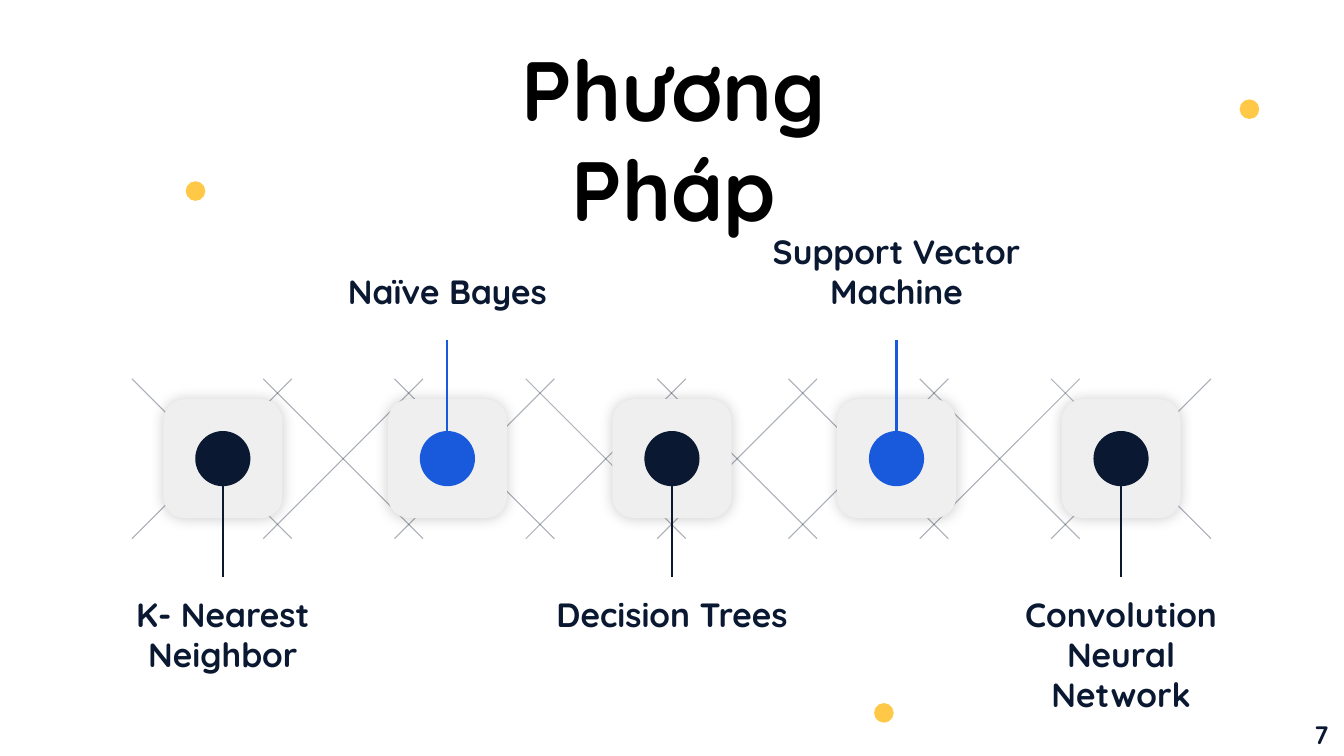
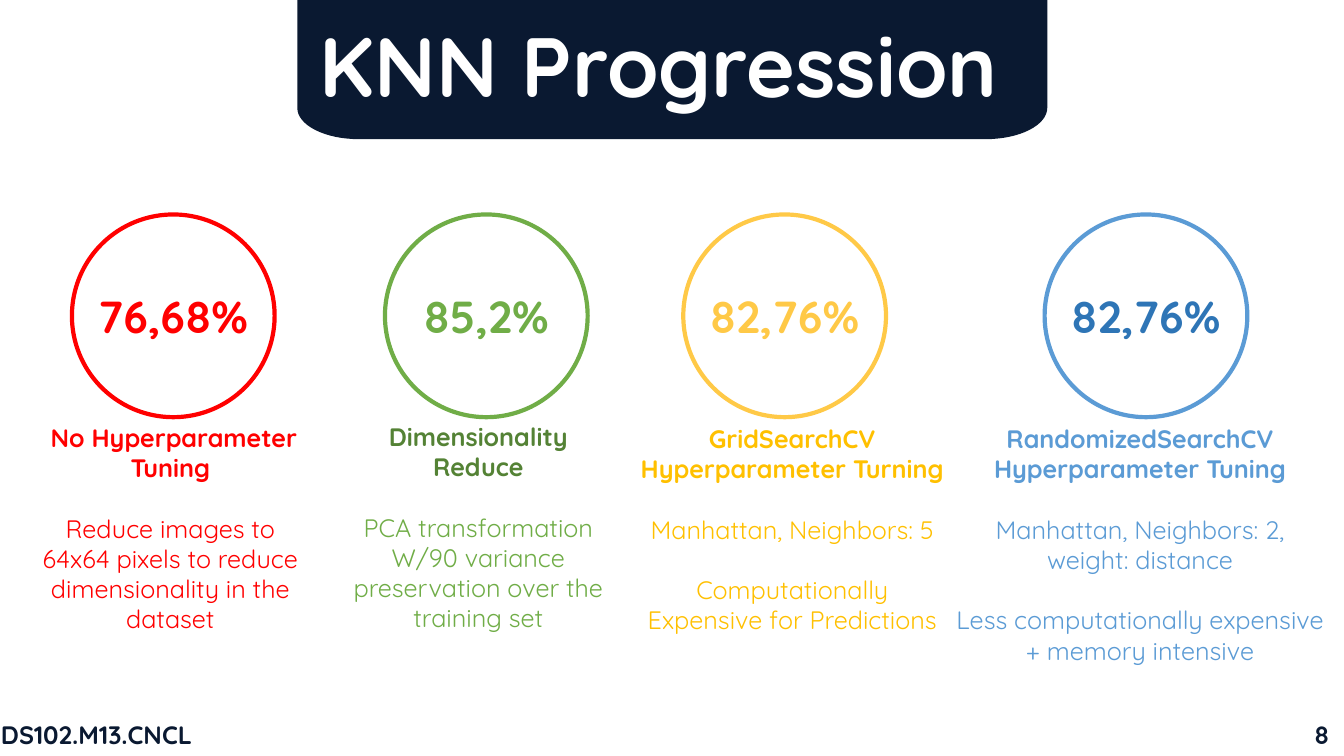
from dataclasses import dataclass
from math import cos, pi, sin

from pptx import Presentation
from pptx.dml.color import RGBColor
from pptx.enum.shapes import MSO_CONNECTOR, MSO_SHAPE
from pptx.enum.text import MSO_ANCHOR, PP_ALIGN
from pptx.oxml.ns import qn
from pptx.util import Pt
from lxml.etree import SubElement


@dataclass(frozen=True)
class Theme:
    font: str = "Quicksand"
    navy: str = "0A1931"
    blue: str = "185ADB"
    amber: str = "FFC947"
    tile: str = "EFEFEF"
    black: str = "000000"
    white: str = "FFFFFF"
    red: str = "FF0000"
    green: str = "70AD47"
    dark_green: str = "548235"
    gold: str = "FFC000"
    sky: str = "5B9BD5"
    dark_sky: str = "2E75B6"
    title: int = 60
    score: int = 32
    label: int = 24
    body: int = 18
    body_line: float = 21.6


@dataclass(frozen=True)
class Stage:
    """One scored step; body holds groups of lines set apart by a gap."""
    score: str
    center: float
    box: tuple
    heading: tuple
    body: tuple
    ring: str
    score_color: str
    heading_color: str
    body_color: str


T = Theme()
WIDTH, HEIGHT = 960, 540

METHODS = ("K- Nearest Neighbor", "Naïve Bayes", "Decision Trees",
           "Support Vector Machine", "Convolution Neural Network")
DOTS = ((139.7, 136.5), (892.5, 78), (631.4, 509.2))

STAGES = (
    Stage("76,68%", 123.8, (17.3, 298, 208.8, 160),
          (" No Hyperparameter Tuning",),
          (("Reduce images to 64x64 pixels to reduce dimensionality in the dataset",),),
          T.red, T.red, T.red, T.red),
    Stage("85,2%", 347.4, (240.5, 297.4, 202.3, 160),
          ("Dimensionality", "Reduce"),
          (("PCA transformation", "W/90 variance preservation over the training set"),),
          T.green, T.green, T.dark_green, T.green),
    Stage("82,76%", 560.5, (447.1, 298.8, 237.6, 160),
          ("GridSearchCV", "Hyperparameter Turning"),
          (("Manhattan, Neighbors: 5",), ("Computationally Expensive for Predictions",)),
          T.amber, T.amber, T.gold, T.gold),
    Stage("82,76%", 818.6, (672.5, 298.8, 283.7, 181),
          ("RandomizedSearchCV", "Hyperparameter Tuning"),
          (("Manhattan, Neighbors: 2,", "weight: distance"),
           ("Less computationally expensive + memory intensive",)),
          T.sky, T.dark_sky, T.sky, T.sky),
)


def rgb(color):
    return RGBColor.from_string(color)


def add_run(p, text, size, color, bold=True):
    r = p.add_run()
    r.text = text
    r.font.name = T.font
    r.font.size = Pt(size)
    r.font.bold = bold
    r.font.color.rgb = rgb(color)


def add_text_frame(slide, box, anchor=MSO_ANCHOR.TOP, inset=7.2):
    tf = slide.shapes.add_textbox(*map(Pt, box)).text_frame
    tf.word_wrap = True
    tf.vertical_anchor = anchor
    tf.margin_left = tf.margin_right = Pt(inset)
    tf.margin_top = tf.margin_bottom = Pt(3.6)
    return tf


def add_text(slide, box, text, size, color, align=PP_ALIGN.CENTER, **frame):
    p = add_text_frame(slide, box, **frame).paragraphs[0]
    p.alignment = align
    add_run(p, text, size, color)


def style_shape(sp, fill, line=None, width=0):
    sp.shadow.inherit = False
    sp.fill.solid()
    sp.fill.fore_color.rgb = rgb(fill)
    if line:
        sp.line.color.rgb = rgb(line)
        sp.line.width = Pt(width)
    else:
        sp.line.fill.background()


def add_centered(slide, kind, cx, cy, size, fill, line=None, width=0):
    sp = slide.shapes.add_shape(kind, Pt(cx - size / 2), Pt(cy - size / 2),
                                Pt(size), Pt(size))
    style_shape(sp, fill, line, width)
    return sp


def add_alpha(parent, percent):
    color = next(parent.iter(qn("a:srgbClr")))
    SubElement(color, qn("a:alpha"), val=str(percent * 1000))


def add_line(slide, start, end, color, width, opacity=100):
    cx = slide.shapes.add_connector(MSO_CONNECTOR.STRAIGHT, *map(Pt, start + end))
    cx.line.color.rgb = rgb(color)
    cx.line.width = Pt(width)
    spPr = cx._element.spPr
    if opacity < 100:
        add_alpha(spPr.find(qn("a:ln")), opacity)
    SubElement(spPr, qn("a:effectLst"))


def add_glow_shadow(sp):
    effects = sp._element.spPr.find(qn("a:effectLst"))
    shadow = SubElement(effects, qn("a:outerShdw"), blurRad=str(Pt(10)),
                        dist="0", dir="0", algn="ctr", rotWithShape="0")
    SubElement(shadow, qn("a:srgbClr"), val=T.black)
    add_alpha(shadow, 20)


def add_title(slide, text, left, top, width, color):
    add_text(slide, (left, top, width, 80), text, T.title, color)


def add_corner_text(slide, left, width, text, inset=7.2):
    add_text(slide, (left, 510.5, width, 28.8), text, T.body, T.navy,
             align=PP_ALIGN.LEFT, anchor=MSO_ANCHOR.MIDDLE, inset=inset)


def add_page_number(slide, number):
    add_corner_text(slide, 931.7, 28.1, str(number))


def add_lattice(slide, left=94.2, top=270.6, side=114.2, pitch=93.8, count=8):
    for i in range(count):
        x1 = left + i * pitch
        x2 = x1 + side
        for start, end in ((x1, x2), (x2, x1)):
            add_line(slide, (start, top), (end, top + side), T.navy, 0.75, 35)


def add_method(slide, index, name):
    """Tile, node, stem and label; odd ones point up."""
    cx, cy = WIDTH / 2 + (index - 2) * 160.4, 327.6
    up = index % 2 == 1
    color = T.blue if up else T.navy
    tile = add_centered(slide, MSO_SHAPE.ROUNDED_RECTANGLE, cx, cy, 85, T.tile)
    tile.adjustments[0] = 0.18
    add_glow_shadow(tile)
    add_centered(slide, MSO_SHAPE.OVAL, cx, cy, 39.4, color)
    add_line(slide, (cx, cy), (cx, cy + (-84.4 if up else 84.4)), color, 1.5)
    top, height = (160.7, 65.4) if up else (420.5, 94)
    add_text(slide, (cx - 98, top, 196, height), name, T.label, T.navy,
             anchor=MSO_ANCHOR.BOTTOM if up else MSO_ANCHOR.TOP)


def add_title_band(slide, left=212.4, right=748.1, bottom=99.4, rx=44, ry=22.3):
    """Band hung from the top edge, with elliptical lower corners."""
    steps = 16
    quarter = [i * pi / 2 / steps for i in range(steps + 1)]
    y = bottom - ry
    points = [(right, 0)]
    points += [(right - rx + rx * cos(a), y + ry * sin(a)) for a in quarter]
    points += [(left + rx - rx * sin(a), y + ry * cos(a)) for a in quarter]
    fb = slide.shapes.build_freeform(Pt(left), 0)
    fb.add_line_segments([(Pt(px), Pt(py)) for px, py in points], close=True)
    style_shape(fb.convert_to_shape(), T.navy)


def add_caption(slide, stage):
    tf = add_text_frame(slide, stage.box)
    lines = [(text, stage.heading_color, True, 0) for text in stage.heading]
    for group in stage.body:
        lines += [(text, stage.body_color, False, 0 if i else T.body_line)
                  for i, text in enumerate(group)]
    for i, (text, color, bold, gap) in enumerate(lines):
        p = tf.add_paragraph() if i else tf.paragraphs[0]
        p.alignment = PP_ALIGN.CENTER
        p.space_before = Pt(gap)
        add_run(p, text, T.body, color, bold)


def add_stage(slide, stage):
    ring = add_centered(slide, MSO_SHAPE.OVAL, stage.center, 225.6, 144.8,
                        T.white, stage.ring, 3)
    tf = ring.text_frame
    tf.word_wrap = False
    tf.vertical_anchor = MSO_ANCHOR.MIDDLE
    p = tf.paragraphs[0]
    p.alignment = PP_ALIGN.CENTER
    add_run(p, stage.score, T.score, stage.score_color)
    add_caption(slide, stage)


def build_methods(slide):
    add_lattice(slide)
    for i, name in enumerate(METHODS):
        add_method(slide, i, name)
    add_title(slide, "Phương Pháp", 301.7, 23, 359.3, T.black)
    for cx, cy in DOTS:
        add_centered(slide, MSO_SHAPE.OVAL, cx, cy, 14, T.amber)
    add_page_number(slide, 7)


def build_progression(slide):
    add_title_band(slide)
    add_title(slide, "KNN Progression", 168.5, 5.8, 604, T.white)
    for stage in STAGES:
        add_stage(slide, stage)
    add_corner_text(slide, 0, 165, "DS102.M13.CNCL", inset=0.7)
    add_page_number(slide, 8)


def main():
    prs = Presentation()
    prs.slide_width, prs.slide_height = Pt(WIDTH), Pt(HEIGHT)
    for build in (build_methods, build_progression):
        build(prs.slides.add_slide(prs.slide_layouts[6]))
    prs.save("out.pptx")


if __name__ == "__main__":
    main()
